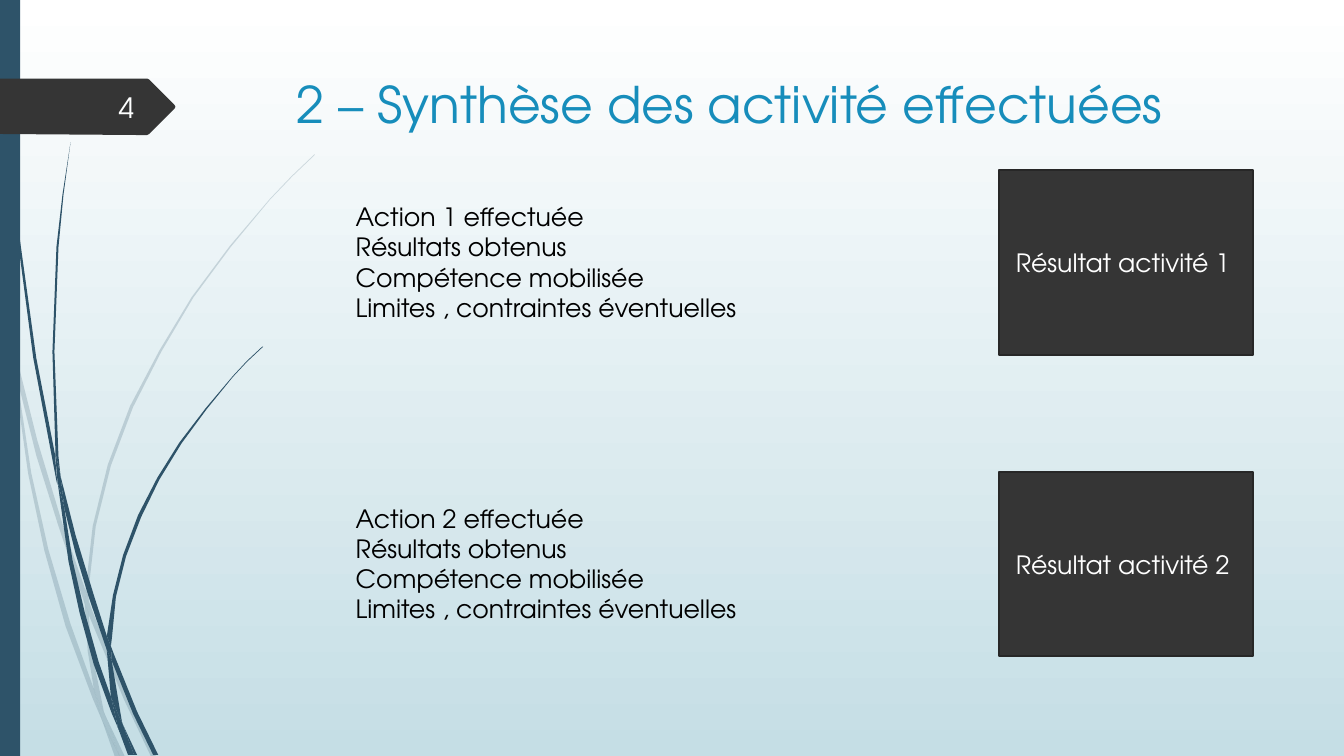
from lxml import etree
from pptx import Presentation
from pptx.dml.color import RGBColor
from pptx.enum.shapes import MSO_SHAPE as Kind
from pptx.enum.text import MSO_ANCHOR as Anchor, MSO_AUTO_SIZE as Auto, PP_ALIGN as Align
from pptx.oxml.ns import qn
from pptx.util import Inches, Pt

FONT = "TeX Gyre Adventor"
NAVY = RGBColor(0x2E, 0x53, 0x69)
DARK = RGBColor(0x35, 0x35, 0x35)
EDGE = RGBColor(0x27, 0x27, 0x27)
BLUE = RGBColor(0x17, 0x8D, 0xBB)
PALE = RGBColor(0xC5, 0xDE, 0xE5)
WHITE = RGBColor(0xFF, 0xFF, 0xFF)
SNOW = RGBColor(0xFE, 0xFF, 0xFF)
BLACK = RGBColor(0, 0, 0)

# Content
TITLE = "2 – Synthèse des activité effectuées"
PAGE = "4"
STEPS = ["Résultats obtenus", "Compétence mobilisée", "Limites , contraintes éventuelles"]
ROWS = [
    (["Action 1 effectuée"] + STEPS, "Résultat activité 1 "),
    (["Action 2 effectuée"] + STEPS, "Résultat activité 2 "),
]

# Grass blades: outline points in inches
FAINT = [
    [(0.11, 3.5), (0.09, 3.22), (0, 2.82), (0, 2.99), (0.1, 3.44)],
    [(0.58, 5.22), (0.84, 5.99), (0.85, 5.86), (0.62, 5.2), (0.37, 4.37), (0.14, 3.45),
     (0.17, 3.76), (0.36, 4.52)],
    [(0.92, 6.07), (0.88, 5.96), (0.88, 6.1), (1.23, 6.94), (1.5, 7.51), (1.55, 7.51),
     (1.27, 6.92)],
    [(1.19, 7.51), (1.24, 7.51), (1.05, 7.11)],
    [(0.93, 6.83), (0.7, 6.19), (0.48, 5.45), (0.31, 4.69), (0.17, 3.76), (0.11, 3.5),
     (0.28, 4.7), (0.44, 5.46), (0.65, 6.21), (0.92, 6.93), (1.01, 7.14), (0.99, 7.07)],
    [(0.84, 5.99), (0.87, 6.46), (0.93, 6.83), (0.96, 6.92), (1.05, 7.11), (1.03, 7.06),
     (0.91, 6.46), (0.88, 6.1), (0.88, 6.08)],
    [(0.88, 5.84), (0.95, 5.22), (1.1, 4.62), (1.32, 4.04), (1.6, 3.49), (1.92, 2.95),
     (2.29, 2.45), (2.68, 1.98), (2.9, 1.75), (3.12, 1.54), (3.12, 1.53), (2.89, 1.75),
     (2.68, 1.97), (2.28, 2.44), (1.9, 2.95), (1.58, 3.48), (1.29, 4.03), (1.07, 4.61),
     (0.92, 5.22), (0.85, 5.84), (0.85, 5.86), (0.88, 5.96)],
    [(1.01, 7.14), (1.14, 7.51), (1.19, 7.51)],
    [(0.88, 6.08), (0.88, 6.1), (0.88, 5.96), (0.85, 5.86), (0.84, 5.99)],
    [(0.96, 6.92), (0.93, 6.83), (0.99, 7.07), (1.01, 7.14), (1.19, 7.51), (1.05, 7.11)],
]
SOLID = [
    [(0.07, 1.1), (0.17, 2.33), (0.33, 3.55), (0.56, 4.77), (0.57, 4.81), (0.55, 4.57),
     (0.55, 4.53), (0.36, 3.55), (0.19, 2.32), (0.08, 1.09), (0.05, 0.48), (0.04, 0),
     (0.03, 0), (0.04, 0.48)],
    [(0.88, 5.92), (1.06, 6.45), (1.06, 6.33), (1.06, 6.31), (0.93, 5.9), (0.75, 5.31),
     (0.6, 4.72), (0.64, 5.05), (0.75, 5.49)],
    [(1.13, 6.49), (1.1, 6.41), (1.11, 6.56), (1.32, 7.08), (1.52, 7.49), (1.57, 7.49),
     (1.36, 7.06)],
    [(1.1, 6.91), (0.98, 6.57), (0.84, 6.07), (0.72, 5.56), (0.64, 5.05), (0.57, 4.77),
     (0.68, 5.57), (0.79, 6.08), (0.93, 6.59), (1.11, 7.08), (1.17, 7.22), (1.16, 7.17)],
    [(0.6, 4.72), (0.58, 4.53), (0.54, 3.49), (0.58, 2.45), (0.63, 1.93), (0.7, 1.41),
     (0.62, 1.93), (0.56, 2.45), (0.52, 3.49), (0.55, 4.49)],
    [(1.33, 7.49), (1.36, 7.49), (1.22, 7.19)],
    [(0.57, 4.77), (0.64, 5.05), (0.6, 4.72), (0.55, 4.49), (0.55, 4.53)],
    [(1.11, 6.33), (1.15, 5.92), (1.25, 5.52), (1.4, 5.13), (1.58, 4.76), (1.8, 4.4),
     (2.05, 4.06), (2.31, 3.74), (2.45, 3.59), (2.61, 3.44), (2.6, 3.44), (2.45, 3.58),
     (2.31, 3.73), (2.04, 4.05), (1.78, 4.39), (1.56, 4.74), (1.37, 5.11), (1.22, 5.51),
     (1.12, 5.91), (1.06, 6.31), (1.1, 6.41)],
    [(1.17, 7.22), (1.27, 7.49), (1.31, 7.49)],
    [(1.06, 6.45), (1.1, 6.91), (1.16, 7.06), (1.22, 7.19), (1.21, 7.16), (1.11, 6.56),
     (1.09, 6.51)],
    [(1.06, 6.45), (1.09, 6.51), (1.11, 6.56), (1.1, 6.41), (1.06, 6.31), (1.06, 6.33)],
    [(1.16, 7.06), (1.1, 6.91), (1.16, 7.17), (1.17, 7.22), (1.3, 7.49), (1.33, 7.49),
     (1.22, 7.19)],
]
ARROW = [(1.73, 1.08), (1.48, 1.33), (1.46, 1.34), (1.36, 1.34), (0, 1.33), (0, 0.78),
         (1.46, 0.78), (1.48, 0.79), (1.73, 1.04), (1.74, 1.06)]


def paint(shape, color):
    shape.shadow.inherit = False
    shape.fill.solid()
    shape.fill.fore_color.rgb = color
    shape.line.fill.background()
    return shape


def trace(shapes, dots, color):
    dots = [(Inches(x), Inches(y)) for x, y in dots]
    pen = shapes.build_freeform(*dots[0])
    pen.add_line_segments(dots[1:], close=True)
    return paint(pen.convert_to_shape(), color)


def write(shape, lines, size, color, align=Align.LEFT, anchor=Anchor.TOP, wrap=True):
    frame = shape.text_frame
    frame.word_wrap = wrap
    frame.vertical_anchor = anchor
    for i, line in enumerate(lines):
        para = frame.add_paragraph() if i else frame.paragraphs[0]
        para.alignment = align
        run = para.add_run()
        run.text = line
        run.font.name = FONT
        run.font.size = Pt(size)
        run.font.color.rgb = color
    return frame


def place(*box):
    return [Inches(v) for v in box]


def main():
    deck = Presentation()
    deck.slide_width, deck.slide_height = place(13.33, 7.5)
    slide = deck.slides.add_slide(deck.slide_layouts[6])
    shapes = slide.shapes

    # Background
    back = slide.background.fill
    back.gradient()
    back.gradient_angle = 270
    for stop, color, spot in zip(back.gradient_stops, (WHITE, PALE), (0, 1)):
        stop.color.rgb = color
        stop.position = spot

    # Grass, side bar and page arrow
    for blades, alpha in ((FAINT, 20), (SOLID, 100)):
        group = shapes.add_group_shape()
        for dots in blades:
            blade = trace(group.shapes, dots, NAVY)
            if alpha < 100:
                tint = blade.fill._xPr.find(".//" + qn("a:srgbClr"))
                etree.SubElement(tint, qn("a:alpha"), val=str(alpha * 1000))
    paint(shapes.add_shape(Kind.RECTANGLE, *place(0, 0, 0.2, 7.5)), NAVY)
    trace(shapes, ARROW, DARK)

    # Title and page number
    write(shapes.add_textbox(*place(2.84, 0.68, 9.75, 1.4)), [TITLE], 36, BLUE)
    write(shapes.add_textbox(*place(0.58, 0.86, 0.85, 0.4)), [PAGE], 20, SNOW,
          Align.RIGHT, Anchor.MIDDLE)

    # Activities with their results
    for i, (lines, result) in enumerate(ROWS):
        top = 1.69 + 2.99 * i
        note = shapes.add_textbox(*place(3.43, top + 0.26, 4.05, 1.31))
        write(note, lines, 18, BLACK, wrap=False).auto_size = Auto.SHAPE_TO_FIT_TEXT
        card = paint(shapes.add_shape(Kind.RECTANGLE, *place(9.91, top, 2.52, 1.83)), DARK)
        card.line.color.rgb = EDGE
        card.line.width = Pt(1.25)
        write(card, [result], 18, WHITE, Align.CENTER, Anchor.MIDDLE)

    deck.save("out.pptx")


if __name__ == "__main__":
    main()
